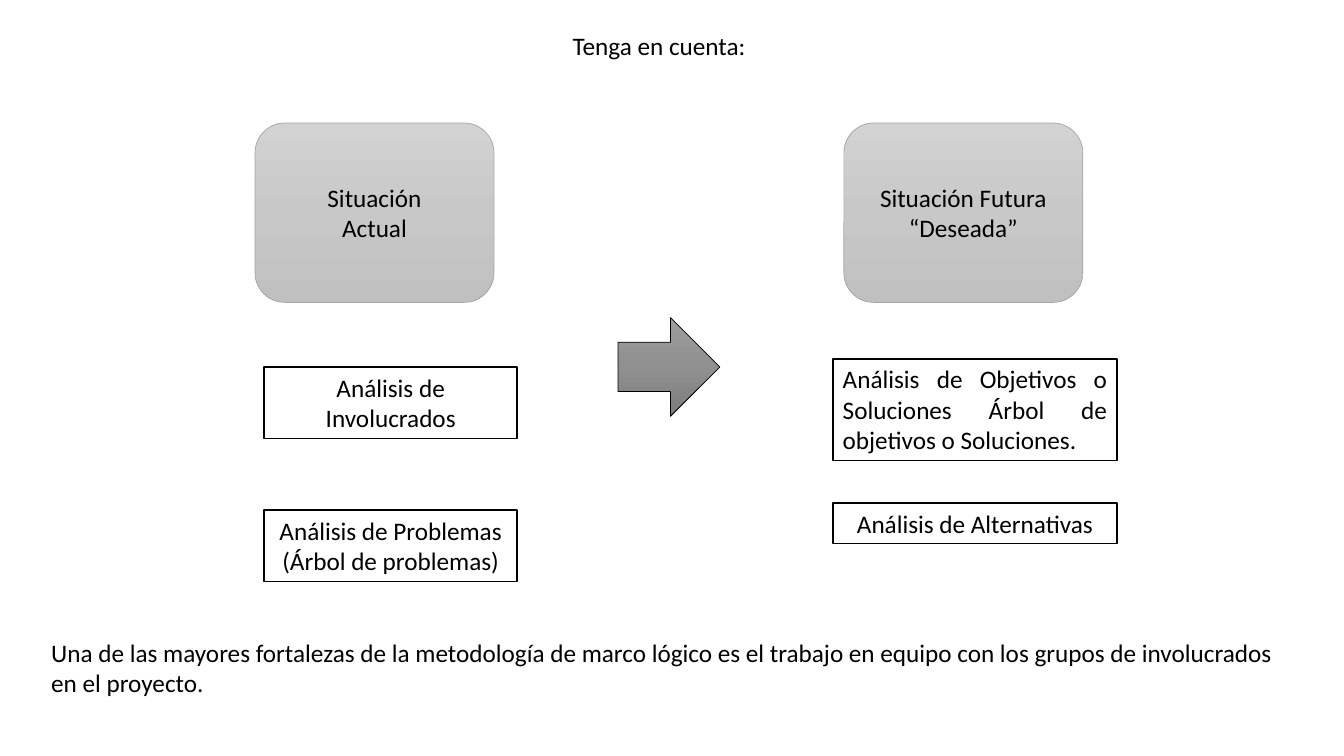
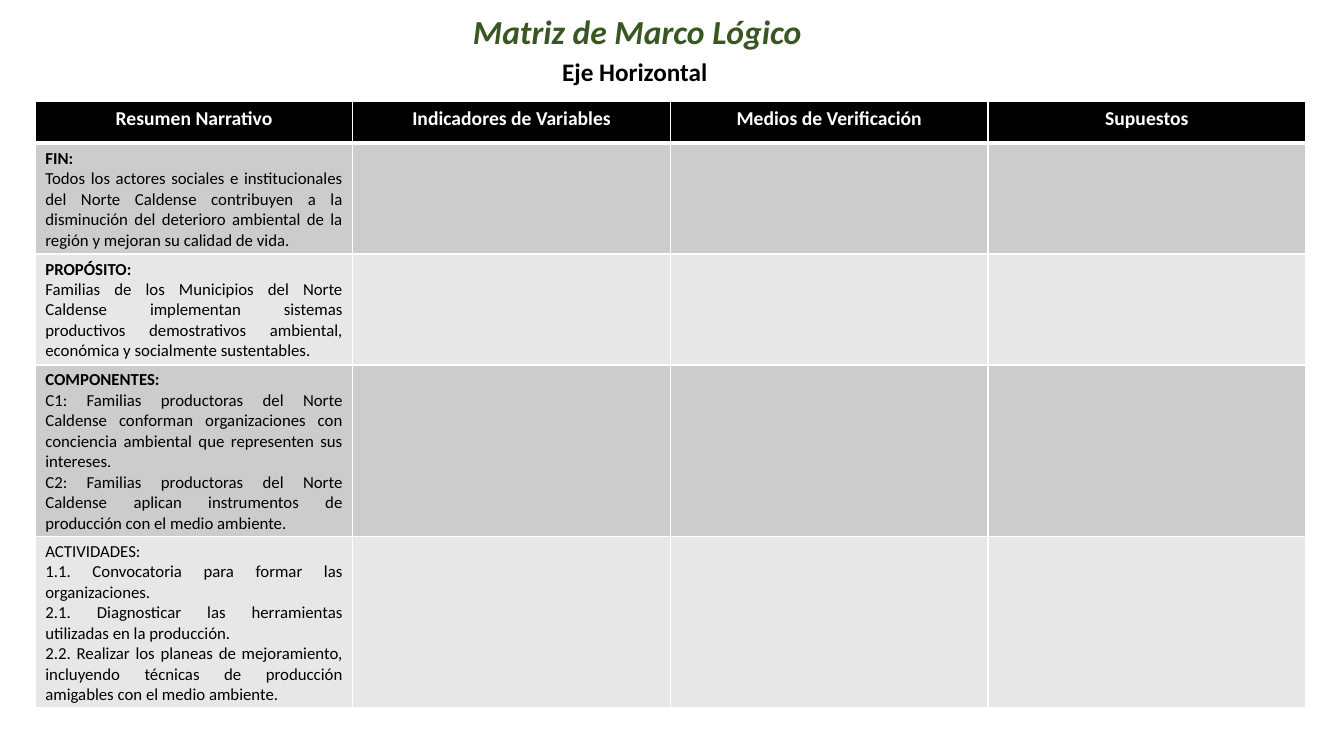
from copy import deepcopy

from lxml.etree import SubElement
from pptx import Presentation
from pptx.dml.color import RGBColor
from pptx.enum.shapes import MSO_SHAPE as Shape
from pptx.enum.text import MSO_ANCHOR as Anchor, MSO_AUTO_SIZE as Auto, PP_ALIGN as Align
from pptx.oxml.ns import qn
from pptx.util import Inches, Pt

FONT = "Calibri"
BLACK = RGBColor(0x00, 0x00, 0x00)
WHITE = RGBColor(0xFF, 0xFF, 0xFF)
GREEN = RGBColor(0x38, 0x57, 0x23)
EDGE = RGBColor(0xA5, 0xA5, 0xA5)
BANDS = (RGBColor(0xCC, 0xCC, 0xCC), RGBColor(0xE7, 0xE7, 0xE7))
LIGHT = (RGBColor(0xD2, 0xD2, 0xD2), RGBColor(0xC8, 0xC8, 0xC8), RGBColor(0xC0, 0xC0, 0xC0))
DARK = (RGBColor(0x9D, 0x9D, 0x9D), RGBColor(0x90, 0x90, 0x90), RGBColor(0x7C, 0x7C, 0x7C))

HEADS = ("Resumen Narrativo", "Indicadores de Variables", "Medios de Verificación", "Supuestos")
ROWS = (
    (1.1, True, "FIN:\nTodos los actores sociales e institucionales del Norte Caldense "
     "contribuyen a la disminución del deterioro ambiental de la región y mejoran su calidad de vida."),
    (1.1, True, "PROPÓSITO:\nFamilias de los Municipios del Norte Caldense implementan sistemas "
     "productivos demostrativos ambiental, económica y socialmente sustentables."),
    (1.7, True, "COMPONENTES:\nC1: Familias productoras del Norte Caldense conforman organizaciones "
     "con conciencia ambiental que representen sus intereses.\n"
     "C2: Familias productoras del Norte Caldense aplican instrumentos de producción con el medio ambiente."),
    (1.7, False, "ACTIVIDADES:\n1.1. Convocatoria para formar las organizaciones.\n"
     "2.1. Diagnosticar las herramientas utilizadas en la producción.\n"
     "2.2. Realizar los planeas de mejoramiento, incluyendo técnicas de producción "
     "amigables con el medio ambiente."),
)


def write(frame, text, size=18, color=BLACK, bold=False, italic=False, align=Align.LEFT):
    """Fill a text frame and format every run in it."""
    frame.text = text
    frame.word_wrap = True
    for para in frame.paragraphs:
        para.alignment = align
        for run in para.runs:
            font = run.font
            font.name, font.size, font.bold, font.italic = FONT, Pt(size), bold, italic
            font.color.rgb = color


def start(deck, text, box, **style):
    """Add a title-only slide with its title placed in the box."""
    slide = deck.slides.add_slide(deck.slide_layouts[5])
    title = slide.shapes.title
    title.left, title.top, title.width, title.height = map(Inches, box)
    write(title.text_frame, text, **style)
    title.text_frame.auto_size = Auto.NONE
    title.text_frame.vertical_anchor = Anchor.TOP
    return slide


def label(slide, text, box, **style):
    """Add a plain text box."""
    area = slide.shapes.add_textbox(*map(Inches, box))
    write(area.text_frame, text, **style)


def block(slide, kind, box, line, width):
    """Add a preset shape with an outline and no shadow."""
    item = slide.shapes.add_shape(kind, *map(Inches, box))
    item.shadow.inherit = False
    item.line.color.rgb = line
    item.line.width = Pt(width)
    return item


def shade(item, colors):
    """Give a shape a three-step gradient from top to bottom."""
    item.fill.gradient()
    item.fill.gradient_angle = 270
    stops = item._element.spPr.find(qn("a:gradFill")).find(qn("a:gsLst"))
    stops.insert(1, deepcopy(stops[0]))
    for place, (stop, color) in enumerate(zip(item.fill.gradient_stops, colors)):
        stop.color.rgb = color
        stop.position = place / 2


def state(slide, left, text):
    """Add a rounded box that names a situation."""
    item = block(slide, Shape.ROUNDED_RECTANGLE, (left, 1.22, 2.37, 1.78), EDGE, 0.5)
    shade(item, LIGHT)
    write(item.text_frame, text, align=Align.CENTER)


def note(slide, text, box, align=Align.CENTER):
    """Add a white outlined box for one analysis."""
    item = block(slide, Shape.RECTANGLE, box, BLACK, 1)
    item.fill.solid()
    item.fill.fore_color.rgb = WHITE
    write(item.text_frame, text, align=align)
    item.text_frame.vertical_anchor = Anchor.TOP


def change(deck):
    """Build the slide that leads from the present to the future."""
    slide = start(deck, "Tenga en cuenta:", (5.58, 0.25, 2.05, 0.4))
    state(slide, 2.53, "Situación\nActual")
    state(slide, 8.37, "Situación Futura\n“Deseada”")
    for top, text in ((3.64, "Análisis de Involucrados"),
                      (5.06, "Análisis de Problemas\n(Árbol de problemas)")):
        note(slide, text, (2.62, top, 2.51, 0.71))
    note(slide, "Análisis de Objetivos o Soluciones Árbol de objetivos o Soluciones.",
         (8.26, 3.56, 2.82, 1.01), Align.JUSTIFY)
    note(slide, "Análisis de Alternativas", (8.26, 4.99, 2.82, 0.4))
    shade(block(slide, Shape.RIGHT_ARROW, (6.13, 3.15, 1.01, 0.98), BLACK, 0.5), DARK)
    label(slide, "Una de las mayores fortalezas de la metodología de marco lógico es el trabajo "
          "en equipo con los grupos de involucrados en el proyecto.", (0.41, 6.27, 12.56, 0.71))


def paint(cell, color, top=1, base=1):
    """Give a cell white borders and a solid fill."""
    props = cell._tc.get_or_add_tcPr()
    for side, width in (("L", 1), ("R", 1), ("T", top), ("B", base)):
        line = SubElement(props, qn("a:ln" + side), w=str(Pt(width)))
        fill = SubElement(line, qn("a:solidFill"))
        SubElement(fill, qn("a:srgbClr"), val=str(WHITE))
    cell.fill.solid()
    cell.fill.fore_color.rgb = color


def grid(slide, left, top, width):
    """Add the matrix table at the given place."""
    high = [0.41] + [row[0] for row in ROWS]
    box = map(Inches, (left, top, width, sum(high)))
    table = slide.shapes.add_table(len(high), len(HEADS), *box).table
    for row, size in zip(table.rows, high):
        row.height = Inches(size)
    for col, text in enumerate(HEADS):
        table.columns[col].width = Inches(width / len(HEADS))
        cell = table.cell(0, col)
        paint(cell, BLACK, base=3)
        write(cell.text_frame, text, 14, WHITE, True, align=Align.CENTER)
    for num, (_, bold, text) in enumerate(ROWS, 1):
        for col in range(len(HEADS)):
            paint(table.cell(num, col), BANDS[(num - 1) % 2], top=3 if num == 1 else 1)
        frame = table.cell(num, 0).text_frame
        write(frame, text, 12, align=Align.JUSTIFY)
        frame.paragraphs[0].runs[0].font.bold = bold


def matrix(deck):
    """Build the slide with the logical framework matrix."""
    slide = start(deck, "Matriz de Marco Lógico", (4.59, 0.06, 3.88, 0.5),
                  size=24, color=GREEN, bold=True, italic=True)
    label(slide, "Eje Horizontal", (4.7, 0.51, 3.19, 0.4), bold=True, align=Align.CENTER)
    grid(slide, 0.35, 1.01, 12.6)


def main():
    """Build and save the deck."""
    deck = Presentation()
    deck.slide_width, deck.slide_height = Inches(13.33), Inches(7.5)
    change(deck)
    matrix(deck)
    deck.save("out.pptx")


if __name__ == "__main__":
    main()
